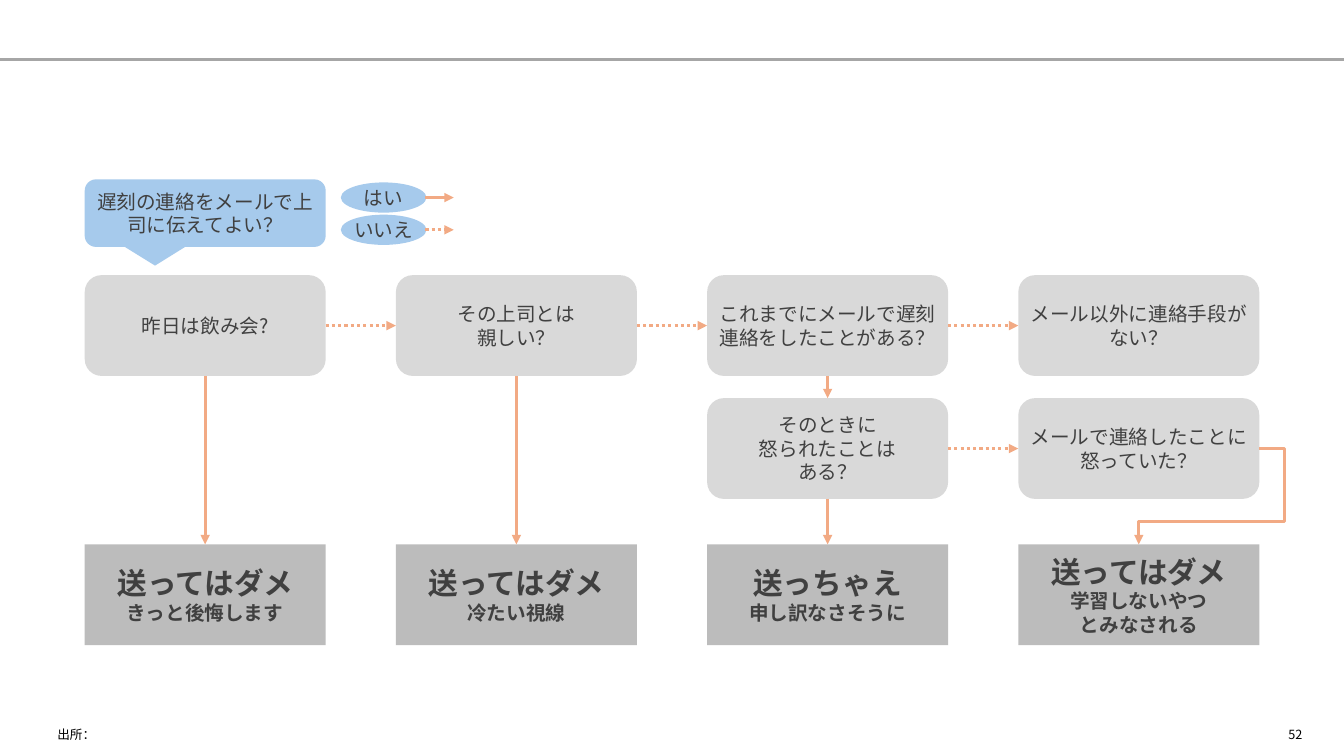
"""Build a decision flowchart on reporting lateness to a boss by e-mail."""
import lxml.etree
import pptx
import pptx.dml.color
import pptx.enum.dml
import pptx.enum.shapes
import pptx.enum.text
import pptx.oxml.ns
import pptx.util

SHAPE = pptx.enum.shapes.MSO_SHAPE
CONNECTOR = pptx.enum.shapes.MSO_CONNECTOR
ALIGN = pptx.enum.text.PP_ALIGN
FONT = "Noto Sans CJK JP"
INK, BLUE, GREY, DARK, ORANGE = "404040", "A6CAEC", "D9D9D9", "595959", "F2AA84"
TOP, LEFT, BOTTOM, RIGHT, ELLIPSE_RIGHT = 0, 1, 2, 3, 6

QUESTIONS = {
    "party": (0, 0, ["昨日は飲み会?"]),
    "close": (1, 0, ["その上司とは", "親しい？"]),
    "before": (2, 0, ["これまでにメールで遅刻連絡をしたことがある？"]),
    "scolded": (2, 1, ["そのときに", "怒られたことは", "ある？"]),
    "other means": (3, 0, ["メール以外に連絡手段がない？"]),
    "angry at mail": (3, 1, ["メールで連絡したことに怒っていた？"]),
}
VERDICTS = {
    "regret": (0, ["送ってはダメ", "きっと後悔します"]),
    "cold look": (1, ["送ってはダメ", "冷たい視線"]),
    "send": (2, ["送っちゃえ", "申し訳なさそうに"]),
    "never learns": (3, ["送ってはダメ", "学習しないやつ", "とみなされる"]),
}
YES_ARROWS = [("party", "regret"), ("close", "cold look"), ("before", "scolded"), ("scolded", "send")]
NO_ARROWS = [("party", "close"), ("close", "before"), ("before", "other means"), ("scolded", "angry at mail")]
LEGEND = [("はい", False), ("いいえ", True)]
THEME = "遅刻の連絡をメールで上司に伝えてよい？"

FIRST_COLUMN, LAST_COLUMN = 0.84, 10.1
PITCH = (LAST_COLUMN - FIRST_COLUMN) / 3
ROWS, VERDICT_TOP = [2.73, 3.95], 5.4
BOX_WIDTH, BOX_HEIGHT = 2.39, 1

inch = pptx.util.Inches
deck = pptx.Presentation()
deck.slide_width, deck.slide_height = inch(13.33), inch(7.5)
page = deck.slides.add_slide(deck.slide_layouts[6])


def color(value):
    return pptx.dml.color.RGBColor.from_string(value)


def add_child(parent, tag, **attributes):
    return lxml.etree.SubElement(parent, pptx.oxml.ns.qn(tag), **attributes)


def write(shape, lines, sizes, ink=INK, bold=False, align=ALIGN.CENTER):
    frame = shape.text_frame
    frame.word_wrap = True
    frame.vertical_anchor = pptx.enum.text.MSO_ANCHOR.MIDDLE
    frame.text = "\n".join(lines)
    for paragraph, size in zip(frame.paragraphs, sizes):
        paragraph.alignment = align
        font = paragraph.font
        font.name, font.size, font.bold = FONT, pptx.util.Pt(size), bold
        font.color.rgb = color(ink)
        add_child(paragraph._p.pPr.find(pptx.oxml.ns.qn("a:defRPr")), "a:ea", typeface=FONT)


def add_box(kind, left, top, width, height, fill, lines, sizes=(14, 14, 14), bold=False):
    box = page.shapes.add_shape(kind, inch(left), inch(top), inch(width), inch(height))
    box.shadow.inherit = False
    box.fill.solid()
    box.fill.fore_color.rgb = color(fill)
    box.line.fill.background()
    frame = box.text_frame
    frame.margin_left = frame.margin_right = frame.margin_top = frame.margin_bottom = 0
    write(box, lines, sizes, bold=bold)
    return box


def add_line(start, end, hue, kind=CONNECTOR.STRAIGHT):
    line = page.shapes.add_connector(kind, *map(inch, start + end))
    line.line.color.rgb = color(hue)
    line.line.width = pptx.util.Pt(2.25)
    add_child(line._element.spPr, "a:effectLst")
    return line


def add_arrow(start=(0, 0), end=(1, 1), dotted=False, kind=CONNECTOR.STRAIGHT):
    arrow = add_line(start, end, ORANGE, kind)
    if dotted:
        arrow.line.dash_style = pptx.enum.dml.MSO_LINE.ROUND_DOT
    add_child(arrow.line._get_or_add_ln(), "a:tailEnd", type="triangle")
    return arrow


def join(source, source_side, target, target_side, dotted):
    arrow = add_arrow(dotted=dotted)
    arrow.begin_connect(source, source_side)
    arrow.end_connect(target, target_side)


def add_note(left, width, text):
    note = page.shapes.add_textbox(inch(left), inch(7.17), inch(width), inch(0.24))
    write(note, [text], [9], "000000", align=ALIGN.LEFT)


add_line((0, 0.59), (13.33, 0.59), "A6A6A6")
add_note(0.47, 11.02, "出所：")
add_note(12.68, 0.59, "52")

boxes = {}
for name, (column, lines) in VERDICTS.items():
    box = add_box(SHAPE.RECTANGLE, FIRST_COLUMN + column * PITCH, VERDICT_TOP, BOX_WIDTH, BOX_HEIGHT,
                  DARK, lines, (21.2, 14, 14), True)
    fill = box._element.spPr.find(pptx.oxml.ns.qn("a:solidFill"))
    add_child(fill[0], "a:alpha", val="40000")
    boxes[name] = box
for name, (column, row, lines) in QUESTIONS.items():
    boxes[name] = add_box(SHAPE.ROUNDED_RECTANGLE, FIRST_COLUMN + column * PITCH, ROWS[row],
                          BOX_WIDTH, BOX_HEIGHT, GREY, lines)

for source, target in YES_ARROWS:
    join(boxes[source], BOTTOM, boxes[target], TOP, False)
for source, target in NO_ARROWS:
    join(boxes[source], RIGHT, boxes[target], LEFT, True)

detour = add_arrow((LAST_COLUMN + BOX_WIDTH, ROWS[1] + BOX_HEIGHT / 2),
                   (LAST_COLUMN + BOX_WIDTH / 2, VERDICT_TOP), kind=CONNECTOR.ELBOW)
detour.begin_connect(boxes["angry at mail"], RIGHT)
detour.end_connect(boxes["never learns"], TOP)
geometry = detour._element.spPr.find(pptx.oxml.ns.qn("a:prstGeom"))
geometry.set("prst", "bentConnector4")
for guide, share in (("adj1", -20900), ("adj2", 76400)):
    add_child(geometry[0], "a:gd", name=guide, fmla=f"val {share}")

callout = add_box(SHAPE.ROUNDED_RECTANGULAR_CALLOUT, FIRST_COLUMN, 1.78, BOX_WIDTH, 0.67, BLUE, [THEME])
callout.adjustments[0], callout.adjustments[1] = -0.208, 0.777
for index, (answer, dotted) in enumerate(LEGEND):
    top = 1.81 + index * 0.32
    add_box(SHAPE.OVAL, 3.38, top, 0.85, 0.3, BLUE, [answer])
    add_arrow((4.22, top + 0.15), (4.5, top + 0.15), dotted)

deck.save("out.pptx")
